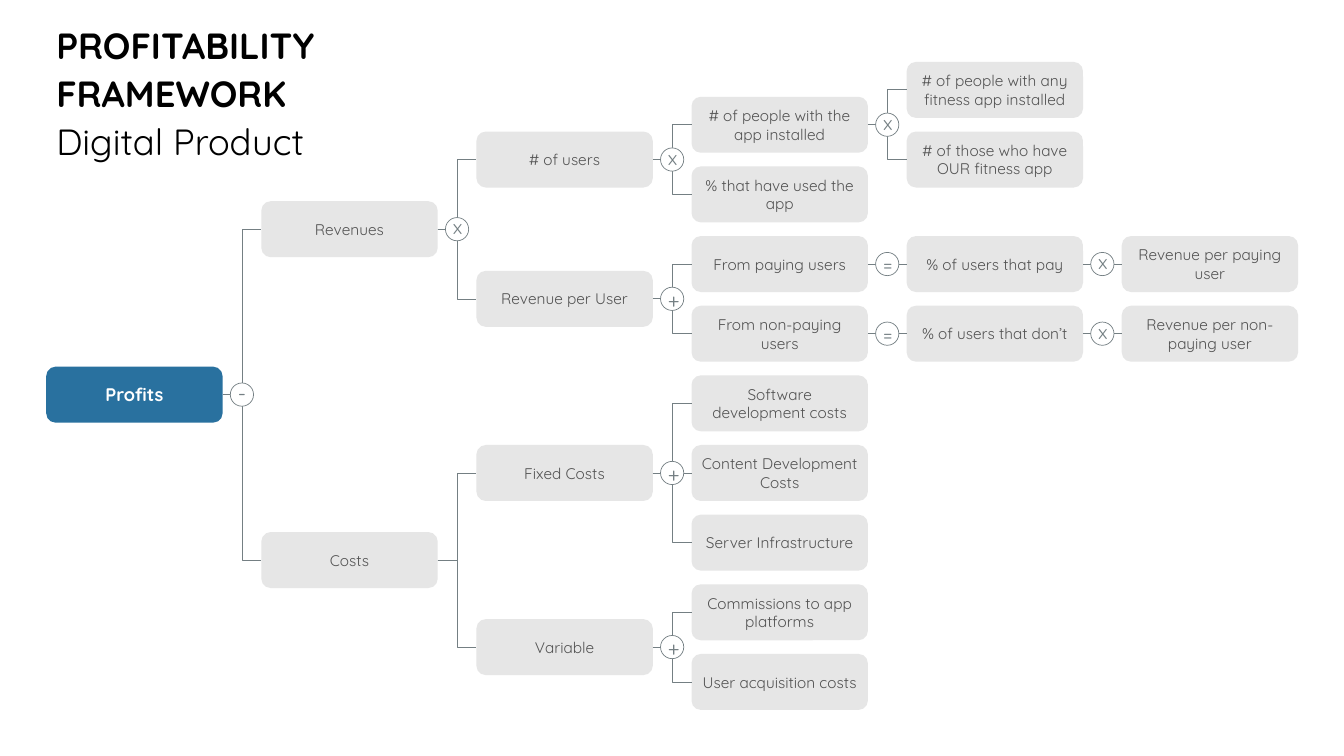
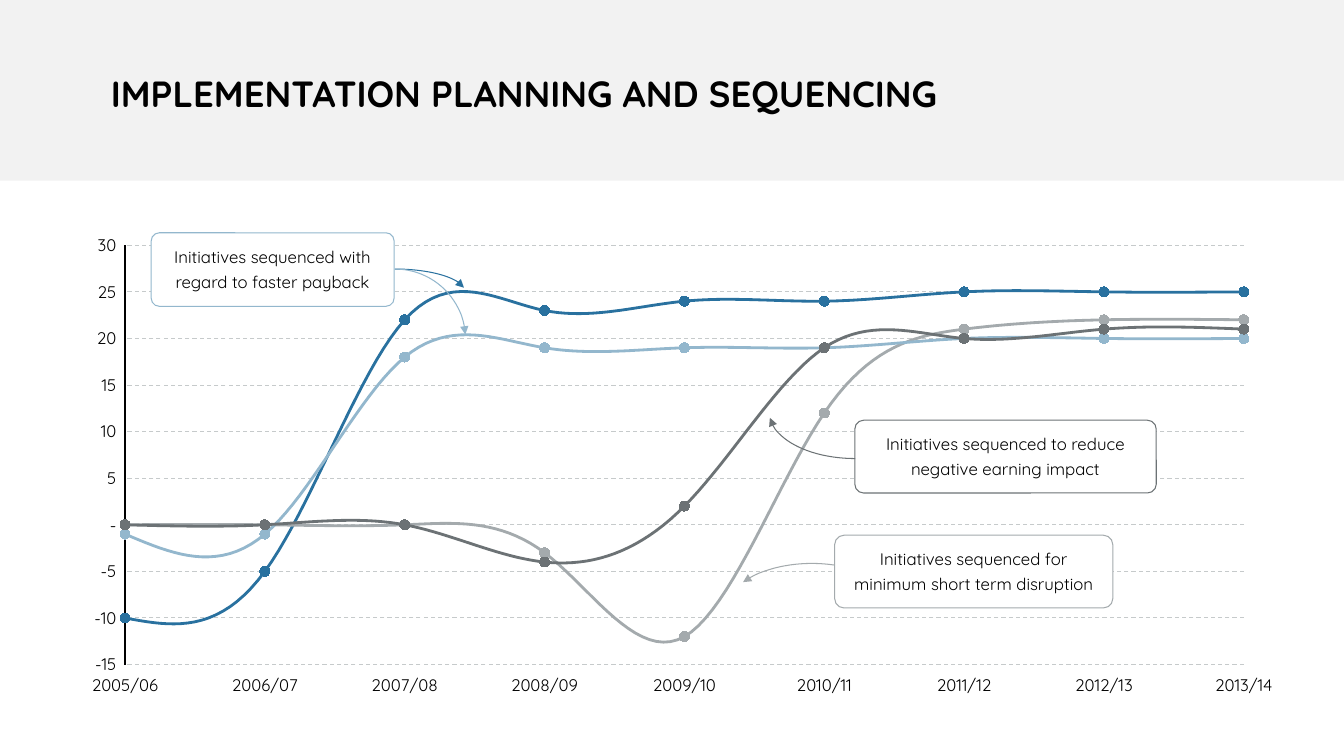
from dataclasses import dataclass

from lxml import etree
from pptx import Presentation
from pptx.chart.data import CategoryChartData
from pptx.dml.color import RGBColor
from pptx.enum.chart import XL_CHART_TYPE, XL_MARKER_STYLE, XL_TICK_LABEL_POSITION, XL_TICK_MARK
from pptx.enum.dml import MSO_LINE
from pptx.enum.shapes import MSO_CONNECTOR, MSO_SHAPE
from pptx.enum.text import MSO_ANCHOR, MSO_AUTO_SIZE, PP_ALIGN
from pptx.oxml.ns import qn
from pptx.util import Pt

ROUNDED, RECTANGLE = MSO_SHAPE.ROUNDED_RECTANGLE, MSO_SHAPE.RECTANGLE
OVAL, ARC = MSO_SHAPE.OVAL, MSO_SHAPE.ARC
ELBOW, STRAIGHT = MSO_CONNECTOR.ELBOW, MSO_CONNECTOR.STRAIGHT
LEFT, CENTER = PP_ALIGN.LEFT, PP_ALIGN.CENTER
MIDDLE, NO_FIT = MSO_ANCHOR.MIDDLE, MSO_AUTO_SIZE.NONE
LINE_CHART, CIRCLE = XL_CHART_TYPE.LINE_MARKERS, XL_MARKER_STYLE.CIRCLE
NO_TICK, LOW = XL_TICK_MARK.NONE, XL_TICK_LABEL_POSITION.LOW
DASH = MSO_LINE.DASH
LEFT_SIDE, RIGHT_SIDE = 1, 3

BLACK = RGBColor(0x00, 0x00, 0x00)
WHITE = RGBColor(0xFF, 0xFF, 0xFF)
BLUE = RGBColor(0x29, 0x71, 0x9F)
LIGHT_BLUE = RGBColor(0x93, 0xB7, 0xCD)
DARK_GRAY = RGBColor(0x6C, 0x72, 0x75)
MID_GRAY = RGBColor(0xA4, 0xAA, 0xAD)
LINE_GRAY = RGBColor(0x74, 0x7F, 0x83)
TEXT_GRAY = RGBColor(0x53, 0x53, 0x53)
BOX_GRAY = RGBColor(0xE6, 0xE6, 0xE6)
BAND_GRAY = RGBColor(0xF2, 0xF2, 0xF2)
GRID_GRAY = RGBColor(0xC6, 0xCA, 0xCB)

FONT = "Quicksand"
SLIDE_WIDTH, SLIDE_HEIGHT = 960, 540
TITLE_ONLY = 5
TREE_LEFT, TREE_TOP = 33, 69.1
COLUMN_PITCH, ROW_PITCH = 153.65, 49.75
BOX_WIDTH, BOX_HEIGHT = 126, 40
OPERATOR_SIZE = 16.6

Four = tuple[float, float, float, float]


@dataclass(frozen=True)
class Node:
    """A tree box; only a leaf names its row, a parent is centred on its children."""
    text: str
    row: float = 0
    operator: str = ""
    children: tuple["Node", ...] = ()

    def centre_row(self) -> float:
        if not self.children:
            return self.row
        return (self.children[0].centre_row() + self.children[-1].centre_row()) / 2


@dataclass(frozen=True)
class Callout:
    text: str
    area: Four
    corner: float
    color: RGBColor


@dataclass(frozen=True)
class CurvedArrow:
    area: Four
    color: RGBColor
    angles: tuple[float, float] = (162, 213.54)
    flips: tuple[str, ...] = ()


@dataclass(frozen=True)
class Curve:
    name: str
    values: tuple[int, ...]
    color: RGBColor


INSTALLED = Node("# of people with the app installed", operator="x", children=(
    Node("# of people with any fitness app installed", -0.5),
    Node("# of those who have OUR fitness app", 0.5)))
PAYING = Node("From paying users", operator="=", children=(
    Node("% of users that pay", operator="x", children=(
        Node("Revenue per paying user", 2),)),))
NON_PAYING = Node("From non-paying users", operator="=", children=(
    Node("% of users that don’t", operator="x", children=(
        Node("Revenue per non-paying user", 3),)),))
REVENUES = Node("Revenues", operator="x", children=(
    Node("# of users", operator="x", children=(INSTALLED, Node("% that have used the app", 1))),
    Node("Revenue per User", operator="+", children=(PAYING, NON_PAYING))))
COSTS = Node("Costs", children=(
    Node("Fixed Costs", operator="+", children=(
        Node("Software development costs", 4), Node("Content Development Costs", 5),
        Node("Server Infrastructure", 6))),
    Node("Variable", operator="+", children=(
        Node("Commissions to app platforms", 7), Node("User acquisition costs", 8)))))
PROFITS = Node("Profits", operator="-", children=(REVENUES, COSTS))

YEARS = [f"{year}/{year - 1999:02d}" for year in range(2005, 2014)]
CURVES = (
    Curve("Series 1", (-10, -5, 22, 23, 24, 24, 25, 25, 25), BLUE),
    Curve("Series 2", (0, 0, 0, -3, -12, 12, 21, 22, 22), MID_GRAY),
    Curve("Series 3", (-1, -1, 18, 19, 19, 19, 20, 20, 20), LIGHT_BLUE),
    Curve("Series 4", (0, 0, 0, -4, 2, 19, 20, 21, 21), DARK_GRAY),
)
CALLOUTS = (
    Callout("Initiatives sequenced for minimum short term disruption",
            (596.2, 382.3, 198.7, 52), 0.13, MID_GRAY),
    Callout("Initiatives sequenced to reduce negative earning impact",
            (610.6, 300.2, 215.3, 52), 0.12, DARK_GRAY),
    Callout("Initiatives sequenced with regard to faster payback",
            (108, 166.3, 173.5, 52.5), 0.11, LIGHT_BLUE),
)
ARROWS = (
    CurvedArrow((231.8, 192.2, 100.8, 33.8), BLUE),
    CurvedArrow((231.8, 192.2, 100.8, 100.8), LIGHT_BLUE),
    CurvedArrow((549.4, 260.6, 123, 67), DARK_GRAY, flips=("flipH", "flipV")),
    CurvedArrow((518.4, 402.5, 123, 67), MID_GRAY, (146.05, 202.63), ("flipH",)),
)


def write(para, text: str, size: float, color: RGBColor, bold: bool = False,
          align=CENTER, spacing: float | None = None) -> None:
    para.alignment = align
    if spacing:
        para.line_spacing = Pt(spacing)
    span = para.add_run()
    span.text = text
    span.font.name, span.font.size, span.font.bold = FONT, Pt(size), bold
    span.font.color.rgb = color


def set_frame(frame, insets: Four) -> None:
    """Insets run left, top, right, bottom."""
    frame.word_wrap, frame.auto_size, frame.vertical_anchor = True, NO_FIT, MIDDLE
    (frame.margin_left, frame.margin_top,
     frame.margin_right, frame.margin_bottom) = map(Pt, insets)


def set_line(line, color: RGBColor, weight: float) -> None:
    line.color.rgb = color
    line.width = Pt(weight)


def add_box(page, kind, area: Four, fill: RGBColor | None,
            line: RGBColor | None = None, weight: float = 0.75):
    box = page.shapes.add_shape(kind, *map(Pt, area))
    box.shadow.inherit = False
    if fill is None:
        box.fill.background()
    else:
        box.fill.solid()
        box.fill.fore_color.rgb = fill
    if line is None:
        box.line.fill.background()
    else:
        set_line(box.line, line, weight)
    return box


def set_title(page, lines: tuple[tuple[str, bool], ...], area: Four, spacing: float) -> None:
    title = page.shapes.title
    title.left, title.top, title.width, title.height = map(Pt, area)
    frame = title.text_frame
    set_frame(frame, (7.2, 3.6, 7.2, 3.6))
    for index, (text, bold) in enumerate(lines):
        para = frame.add_paragraph() if index else frame.paragraphs[0]
        para.space_before = Pt(0)
        write(para, text, 26, BLACK, bold, LEFT, spacing)


def join(page, parent, child, kind) -> None:
    link = page.shapes.add_connector(
        kind, parent.left + parent.width, parent.top + parent.height // 2,
        child.left, child.top + child.height // 2)
    link.begin_connect(parent, RIGHT_SIDE)
    link.end_connect(child, LEFT_SIDE)
    set_line(link.line, LINE_GRAY, 0.5)
    etree.SubElement(link.element.spPr, qn("a:effectLst"))


def add_operator(page, symbol: str, left: float, top: float) -> None:
    circle = add_box(page, OVAL, (left, top, OPERATOR_SIZE, OPERATOR_SIZE), WHITE, LINE_GRAY, 0.5)
    set_frame(circle.text_frame, (2.9, 0, 2.9, 0 if symbol in "+=" else 2.9))
    write(circle.text_frame.paragraphs[0], symbol, 15 if symbol in "+-" else 14, LINE_GRAY)


def draw_tree(page, node: Node, column: int = 0):
    """Draw a node with all below it and return its box."""
    fill, size, color = (BOX_GRAY, 11, TEXT_GRAY) if column else (BLUE, 13, WHITE)
    row = node.centre_row()
    left, top = TREE_LEFT + column * COLUMN_PITCH, TREE_TOP + row * ROW_PITCH
    box = add_box(page, ROUNDED, (left, top, BOX_WIDTH, BOX_HEIGHT), fill)
    set_frame(box.text_frame, (3.6, 3.6, 3.6, 3.6))
    write(box.text_frame.paragraphs[0], node.text, size, color, column == 0)
    for child in node.children:
        child_box = draw_tree(page, child, column + 1)
        join(page, box, child_box, STRAIGHT if child.centre_row() == row else ELBOW)
    if node.operator:
        add_operator(page, node.operator, left + (BOX_WIDTH + COLUMN_PITCH - OPERATOR_SIZE) / 2,
                     top + (BOX_HEIGHT - OPERATOR_SIZE) / 2)
    return box


def place_plot(chart, **settings: str) -> None:
    """Fix the inner plot area, in fractions of the chart."""
    area = chart.element.find(".//" + qn("c:plotArea"))
    for old in area.findall(qn("c:layout")):
        area.remove(old)
    layout = etree.Element(qn("c:layout"))
    manual = etree.SubElement(layout, qn("c:manualLayout"))
    for tag, value in settings.items():
        etree.SubElement(manual, qn("c:" + tag)).set("val", value)
    area.insert(0, layout)


def add_curves(page) -> None:
    data = CategoryChartData()
    data.categories = YEARS
    for curve in CURVES:
        data.add_series(curve.name, curve.values)
    chart = page.shapes.add_chart(LINE_CHART, *map(Pt, (33, 154, 894, 360)), data).chart
    chart.has_title = chart.has_legend = False
    chart.font.name, chart.font.size = FONT, Pt(12)
    chart.font.color.rgb = BLACK
    chart.plots[0].vary_by_categories = False
    place_plot(chart, layoutTarget="inner", xMode="edge", yMode="edge",
               x="0.063", y="0.059", w="0.894", h="0.832")

    years, scale = chart.category_axis, chart.value_axis
    for axis in (years, scale):
        axis.major_tick_mark = axis.minor_tick_mark = NO_TICK
    years.tick_label_position = LOW
    years.format.line.fill.background()
    scale.minimum_scale, scale.maximum_scale, scale.major_unit = -15, 30, 5
    scale.tick_labels.number_format = '_-* #,##0_-;\\-* #,##0_-;_-* "-"_-;_-@_-'
    scale.tick_labels.number_format_is_linked = False
    set_line(scale.format.line, BLACK, 1)
    set_line(scale.major_gridlines.format.line, GRID_GRAY, 0.75)
    scale.major_gridlines.format.line.dash_style = DASH
    crossing = etree.Element(qn("c:crossBetween"), val="midCat")
    chart.element.find(".//" + qn("c:majorUnit")).addprevious(crossing)

    for series, curve in zip(chart.plots[0].series, CURVES):
        series.smooth = True
        set_line(series.format.line, curve.color, 2)
        series.marker.style, series.marker.size = CIRCLE, 7
        look = series.marker.format
        look.fill.solid()
        look.fill.fore_color.rgb = WHITE
        look.line.color.rgb = curve.color


def add_callout(page, note: Callout) -> None:
    box = add_box(page, ROUNDED, note.area, WHITE, note.color)
    box.adjustments[0] = note.corner
    set_frame(box.text_frame, (7.2, 3.6, 7.2, 7.2))
    write(box.text_frame.paragraphs[0], note.text, 12, BLACK, spacing=18)


def add_curved_arrow(page, arrow: CurvedArrow) -> None:
    arc = add_box(page, ARC, arrow.area, None, arrow.color)
    arc.adjustments[0], arc.adjustments[1] = arrow.angles
    for flip in arrow.flips:
        arc.element.spPr.find(qn("a:xfrm")).set(flip, "1")
    etree.SubElement(arc.element.spPr.find(qn("a:ln")), qn("a:tailEnd"), type="triangle")


def main() -> None:
    deck = Presentation()
    deck.slide_width, deck.slide_height = Pt(SLIDE_WIDTH), Pt(SLIDE_HEIGHT)
    layout = deck.slide_layouts[TITLE_ONLY]

    page = deck.slides.add_slide(layout)
    set_title(page, (("PROFITABILITY FRAMEWORK", True), ("Digital Product", False)),
              (33, 44, 362, 42), 34)
    draw_tree(page, PROFITS)

    page = deck.slides.add_slide(layout)
    band = add_box(page, RECTANGLE, (0, 0, SLIDE_WIDTH, 129), BAND_GRAY)
    page.shapes.title.element.addprevious(band.element)
    set_title(page, (("IMPLEMENTATION PLANNING AND SEQUENCING", True),), (72, 25, 855, 78.5), 35)
    add_curves(page)
    for note in CALLOUTS:
        add_callout(page, note)
    for arrow in ARROWS:
        add_curved_arrow(page, arrow)
    deck.save("out.pptx")


if __name__ == "__main__":
    main()
